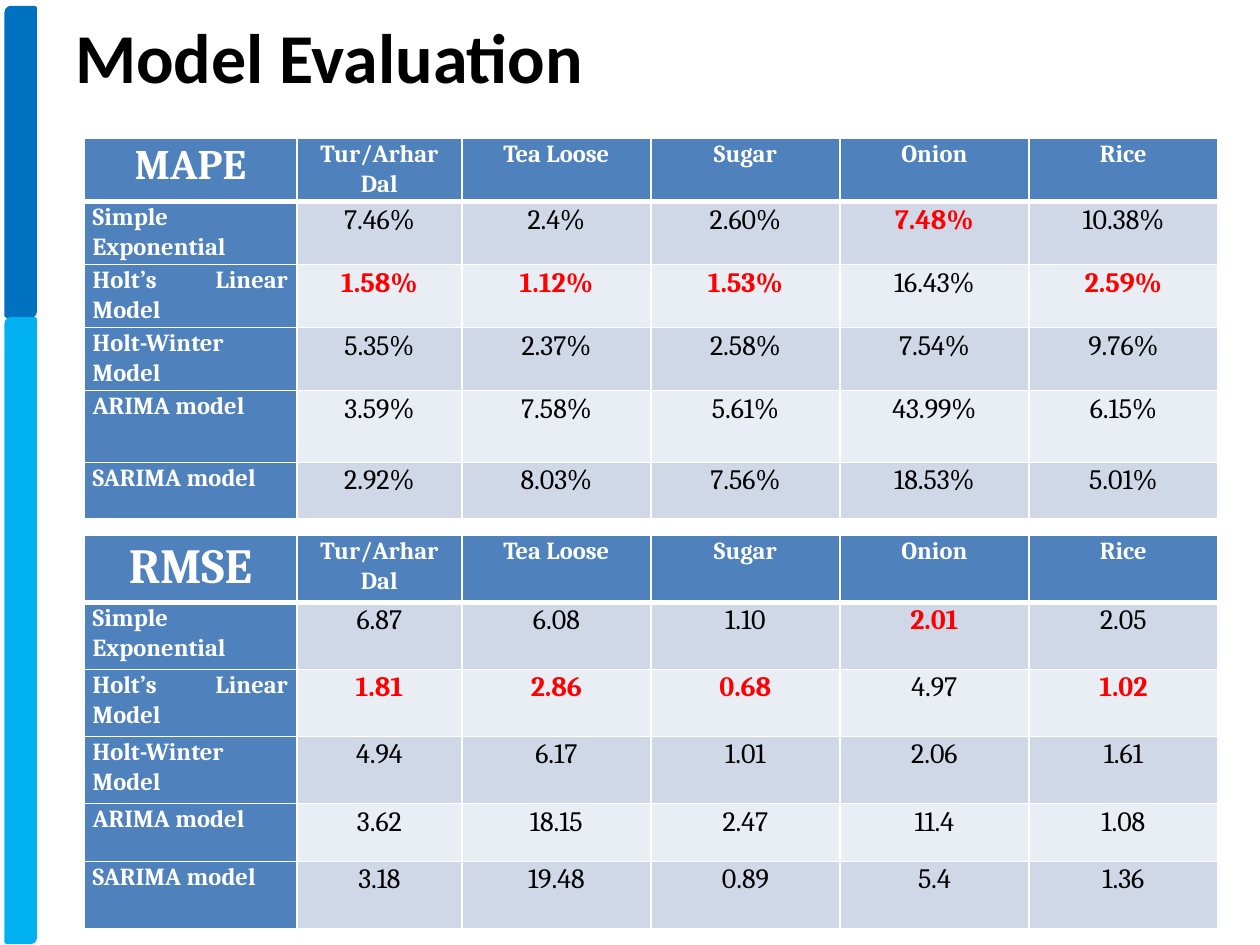
from lxml.etree import SubElement
from pptx import Presentation
from pptx.dml.color import RGBColor
from pptx.enum.shapes import MSO_SHAPE
from pptx.enum.text import MSO_ANCHOR, PP_ALIGN
from pptx.oxml.ns import qn
from pptx.util import Inches, Pt

THEME = {
    "colors": {"dark": "0070C0", "light": "00B0F0", "head": "4F81BD", "odd": "D0D8E8",
               "even": "E9EDF4", "white": "FFFFFF", "black": "000000", "best": "FF0000"},
    "sizes": {"title": 40, "label": 14, "value": 16},
    "fonts": {"title": "Calibri", "table": "Cambria"},
}
C, SIZE, FONT = THEME["colors"], THEME["sizes"], THEME["fonts"]

prs = Presentation()
prs.slide_width, prs.slide_height = Inches(10), Inches(7.5)
s = prs.slides.add_slide(prs.slide_layouts[6])
COL, ROW = prs.slide_width / 100, prs.slide_height / 75


def box(x, y, w, h):
    return [round(v) for v in (x * COL, y * ROW, w * COL, h * ROW)]


def write(tf, text, color, align, spacing, fmt):
    p = tf.paragraphs[0]
    p.alignment, p.line_spacing = align, spacing
    r = p.add_run()
    r.text = text
    r.font.color.rgb = RGBColor.from_string(C[color])
    for name, value in fmt.items():
        setattr(r.font, name, value)


for y, h, color in [(0.6, 24.5, "dark"), (25.3, 49.5, "light")]:
    sp = s.shapes.add_shape(MSO_SHAPE.ROUND_2_DIAG_RECTANGLE, *box(0.5, y, 2.3, h))
    sp.shadow.inherit = False
    sp.fill.solid()
    sp.fill.fore_color.rgb = sp.line.color.rgb = RGBColor.from_string(C[color])
    sp.line.width = Pt(2)

tf = s.shapes.add_textbox(*box(5, 0.6, 93.4, 7.7)).text_frame
tf.word_wrap = True
write(tf, "Model Evaluation", "black", PP_ALIGN.LEFT, 1,
      {"size": Pt(SIZE["title"]), "name": FONT["title"], "bold": True})

GOODS = ["Tur/Arhar Dal", "Tea Loose", "Sugar", "Onion", "Rice"]
MODELS = ["Simple Exponential", "Holt’s Linear Model", "Holt-Winter Model",
          "ARIMA model", "SARIMA model"]
BEST = {(1, 4), (2, 1), (2, 2), (2, 3), (2, 5)}
LEFT, WIDTHS = 6.66, [16.9, 13.1] + [15] * 4
TABLES = [
    {"name": "MAPE", "size": 24, "y": 11, "rows": [5] * 4 + [5.7, 4.5], "values": [
        ["7.46%", "2.4%", "2.60%", "7.48%", "10.38%"],
        ["1.58%", "1.12%", "1.53%", "16.43%", "2.59%"],
        ["5.35%", "2.37%", "2.58%", "7.54%", "9.76%"],
        ["3.59%", "7.58%", "5.61%", "43.99%", "6.15%"],
        ["2.92%", "8.03%", "7.56%", "18.53%", "5.01%"]]},
    {"name": "RMSE", "size": 28, "y": 42.5, "rows": [5.32] * 4 + [4.6, 5.32], "values": [
        ["6.87", "6.08", "1.10", "2.01", "2.05"],
        ["1.81", "2.86", "0.68", "4.97", "1.02"],
        ["4.94", "6.17", "1.01", "2.06", "1.61"],
        ["3.62", "18.15", "2.47", "11.4", "1.08"],
        ["3.18", "19.48", "0.89", "5.4", "1.36"]]},
]

for t in TABLES:
    grid = [[t["name"]] + GOODS] + [[m] + v for m, v in zip(MODELS, t["values"])]
    tbl = s.shapes.add_table(len(grid), len(WIDTHS),
                             *box(LEFT, t["y"], sum(WIDTHS), sum(t["rows"]))).table
    for column, w in zip(tbl.columns, WIDTHS):
        column.width = round(w * COL)
    for row, h in zip(tbl.rows, t["rows"]):
        row.height = round(h * ROW)
    for i, line in enumerate(grid):
        for j, text in enumerate(line):
            cell = tbl.cell(i, j)
            label, best = i == 0 or j == 0, (i, j) in BEST
            layout = {"margin_left": Inches(0.07), "margin_right": Inches(0.07),
                      "margin_top": 0, "margin_bottom": 0, "vertical_anchor": MSO_ANCHOR.TOP}
            for name, value in layout.items():
                setattr(cell, name, value)
            tcPr = cell._tc.get_or_add_tcPr()
            for side in "LRTB":
                thick = (i, side) in {(0, "B"), (1, "T")}
                ln = SubElement(tcPr, qn(f"a:ln{side}"), w=str(Pt(3 if thick else 1)))
                SubElement(SubElement(ln, qn("a:solidFill")), qn("a:srgbClr"), val=C["white"])
            cell.fill.solid()
            fill = "head" if label else "odd" if i % 2 else "even"
            cell.fill.fore_color.rgb = RGBColor.from_string(C[fill])
            size = t["size"] if i == j == 0 else SIZE["label" if label else "value"]
            write(cell.text_frame, text, "white" if label else "best" if best else "black",
                  PP_ALIGN.JUSTIFY if i and not j else PP_ALIGN.CENTER, 1.07,
                  {"size": Pt(size), "name": FONT["table"], "bold": label or best})

prs.save("out.pptx")
